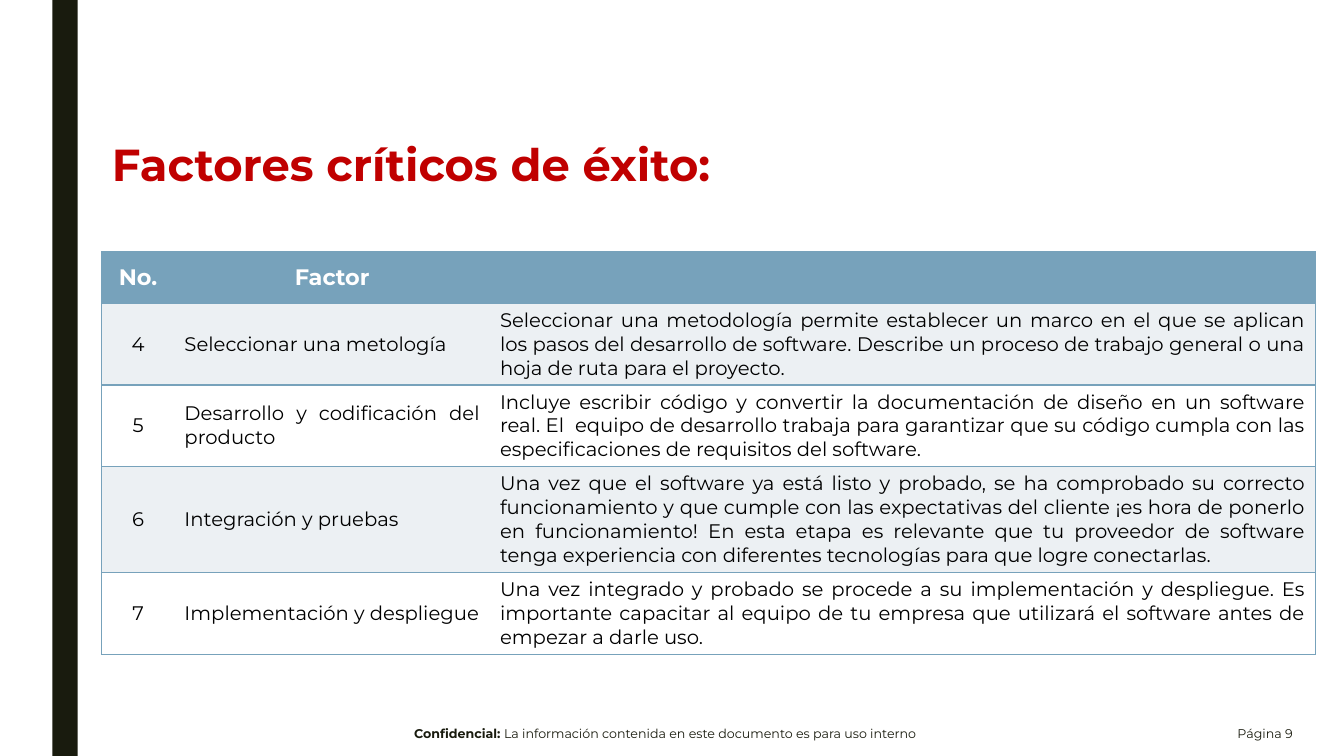
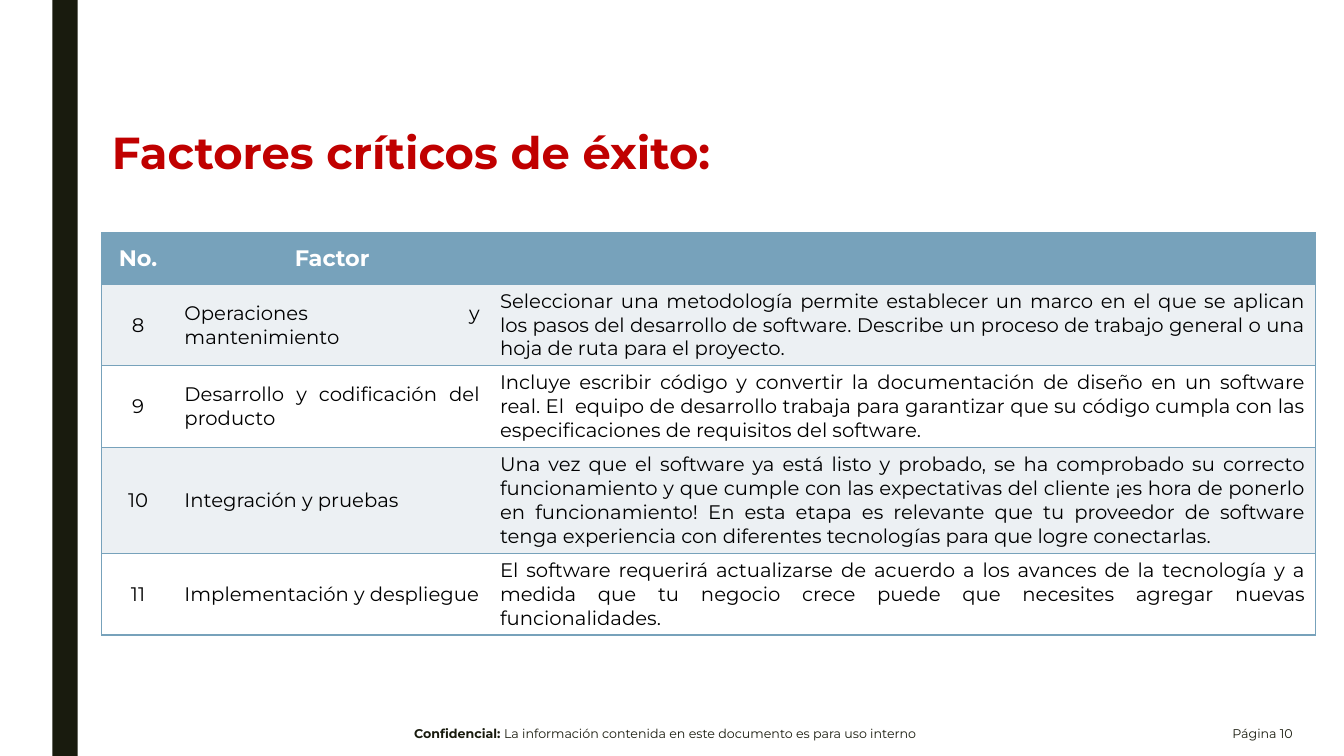
from dataclasses import dataclass

from lxml import etree
from pptx import Presentation
from pptx import util as u
from pptx.dml.color import RGBColor
from pptx.enum import shapes, text
from pptx.oxml import ns

Inches, Pt = u.Inches, u.Pt
ALIGN, ANCHOR = text.PP_ALIGN, text.MSO_ANCHOR


@dataclass(frozen=True)
class Theme:
    font: str = "Montserrat"
    dark: str = "191B0E"
    title: str = "C00000"
    accent: str = "77A2BB"
    stripe: str = "ECF0F3"
    white: str = "FFFFFF"
    black: str = "000000"
    title_size: int = 32
    header_size: int = 16
    body_size: int = 14
    footer_size: int = 9


class Deck:
    """Holds the theme and the current slide."""

    def __init__(self, theme):
        self.theme = theme
        self.prs = Presentation()
        self.prs.slide_width = Inches(13.33)
        self.prs.slide_height = Inches(7.5)
        self.s = None

    def new_slide(self, title, title_top, page):
        self.s = self.prs.slides.add_slide(self.prs.slide_layouts[5])
        self.band()
        self.title(title, title_top)
        self.footer(page)

    def style(self, p, size, color, bold=False, align=ALIGN.LEFT):
        p.alignment = align
        for r in p.runs:
            r.font.name = self.theme.font
            r.font.size = Pt(size)
            r.font.bold = bold
            r.font.color.rgb = RGBColor.from_string(color)

    def band(self):
        sp = self.s.shapes.add_shape(shapes.MSO_SHAPE.RECTANGLE, Inches(0.52), 0,
                                     Inches(0.25), self.prs.slide_height)
        sp.shadow.inherit = False
        sp.fill.solid()
        sp.fill.fore_color.rgb = RGBColor.from_string(self.theme.dark)
        sp.line.fill.background()

    def title(self, words, top):
        sp = self.s.shapes.title
        sp.left, sp.top = Inches(1.01), Inches(top)
        sp.width, sp.height = Inches(6.39), Inches(0.59)
        tf = sp.text_frame
        tf.text = words
        tf.auto_size = text.MSO_AUTO_SIZE.NONE
        tf.vertical_anchor = ANCHOR.TOP
        p = tf.paragraphs[0]
        p.line_spacing = 0.9
        self.style(p, self.theme.title_size, self.theme.title, True, ALIGN.JUSTIFY)

    def footer_text(self, left, width, words, align):
        sp = self.s.shapes.add_textbox(Inches(left), Inches(7.06),
                                       Inches(width), Inches(0.44))
        tf = sp.text_frame
        tf.word_wrap = True
        tf.vertical_anchor = ANCHOR.MIDDLE
        p = tf.paragraphs[0]
        for part in words:
            p.add_run().text = part
        self.style(p, self.theme.footer_size, self.theme.dark, align=align)
        return p

    def footer(self, page):
        notice = ["Confidencial: ",
                  "La información contenida en este documento es para uso interno"]
        p = self.footer_text(3.16, 6.87, notice, ALIGN.CENTER)
        p.runs[0].font.bold = True
        self.footer_text(11.17, 1.75, [f"Página {page}"], ALIGN.RIGHT)

    def borders(self, cell, visible):
        tcPr = cell._tc.get_or_add_tcPr()
        for side in "LRTB":
            ln = etree.SubElement(tcPr, ns.qn(f"a:ln{side}"), w=str(Pt(1)))
            if side in visible:
                fill = etree.SubElement(ln, ns.qn("a:solidFill"))
                etree.SubElement(fill, ns.qn("a:srgbClr"), val=self.theme.accent)
            else:
                etree.SubElement(ln, ns.qn("a:noFill"))

    def cell(self, cell, words, fill, visible, anchor, **style):
        self.borders(cell, visible)
        cell.fill.solid()
        cell.fill.fore_color.rgb = RGBColor.from_string(fill)
        cell.vertical_anchor = anchor
        cell.text_frame.text = words
        self.style(cell.text_frame.paragraphs[0], **style)

    def table(self, top, rows):
        t = self.theme
        widths = [0.72, 3.13, 8.19]
        heights = [0.51, 0.81, 0.81, 1.05, 0.81]
        frame = self.s.shapes.add_table(len(rows), len(widths), Inches(1.01), Inches(top),
                                        Inches(sum(widths)), Inches(sum(heights)))
        table = frame.table
        table.horz_banding = False
        for column, width in zip(table.columns, widths):
            column.width = Inches(width)
        for row, height in zip(table.rows, heights):
            row.height = Inches(height)

        # Outer frame and horizontal rules only
        sides = ["LTB", "TB", "RTB"]
        anchors = [ANCHOR.MIDDLE, ANCHOR.MIDDLE, ANCHOR.TOP]
        aligns = [ALIGN.CENTER, ALIGN.JUSTIFY, ALIGN.JUSTIFY]
        for i, row in enumerate(rows):
            for j, words in enumerate(row):
                if i == 0:
                    fill = t.accent
                    style = dict(size=t.header_size, color=t.white, bold=True,
                                 align=ALIGN.CENTER)
                else:
                    fill = t.stripe if i % 2 else t.white
                    style = dict(size=t.body_size, color=t.black, align=aligns[j])
                self.cell(table.cell(i, j), words, fill, sides[j], anchors[j], **style)


# Wording
TITLE = "Factores críticos de éxito:"
HEADER = ("No.", "Factor", "")
METHOD = ("Seleccionar una metodología permite establecer un marco en el que se aplican "
          "los pasos del desarrollo de software. Describe un proceso de trabajo general "
          "o una hoja de ruta para el proyecto.")
CODING = ("Desarrollo y codificación del producto",
          "Incluye escribir código y convertir la documentación de diseño en un software "
          "real. El  equipo de desarrollo trabaja para garantizar que su código cumpla "
          "con las especificaciones de requisitos del software.")
TESTING = ("Integración y pruebas",
           "Una vez que el software ya está listo y probado, se ha comprobado su correcto "
           "funcionamiento y que cumple con las expectativas del cliente ¡es hora de "
           "ponerlo en funcionamiento! En esta etapa es relevante que tu proveedor de "
           "software tenga experiencia con diferentes tecnologías para que logre "
           "conectarlas.")
ROLLOUT = "Implementación y despliegue"
DEPLOYMENT = ("Una vez integrado y probado se procede a su implementación y despliegue. Es "
              "importante capacitar al equipo de tu empresa que utilizará el software "
              "antes de empezar a darle uso.")
UPDATES = ("El software requerirá actualizarse de acuerdo a los avances de la tecnología y "
           "a medida que tu negocio crece puede que necesites agregar nuevas "
           "funcionalidades.")

# Page, title top, table top, first number, factors
SLIDES = [
    (9, 1.37, 2.5, 4, [("Seleccionar una metología", METHOD), CODING, TESTING,
                       (ROLLOUT, DEPLOYMENT)]),
    (10, 1.25, 2.31, 8, [("Operaciones y mantenimiento", METHOD), CODING, TESTING,
                         (ROLLOUT, UPDATES)]),
]


def main():
    deck = Deck(Theme())
    for page, title_top, table_top, first, factors in SLIDES:
        deck.new_slide(TITLE, title_top, page)
        numbered = [(str(n), *factor) for n, factor in enumerate(factors, first)]
        deck.table(table_top, [HEADER] + numbered)
    deck.prs.save("out.pptx")


if __name__ == "__main__":
    main()
